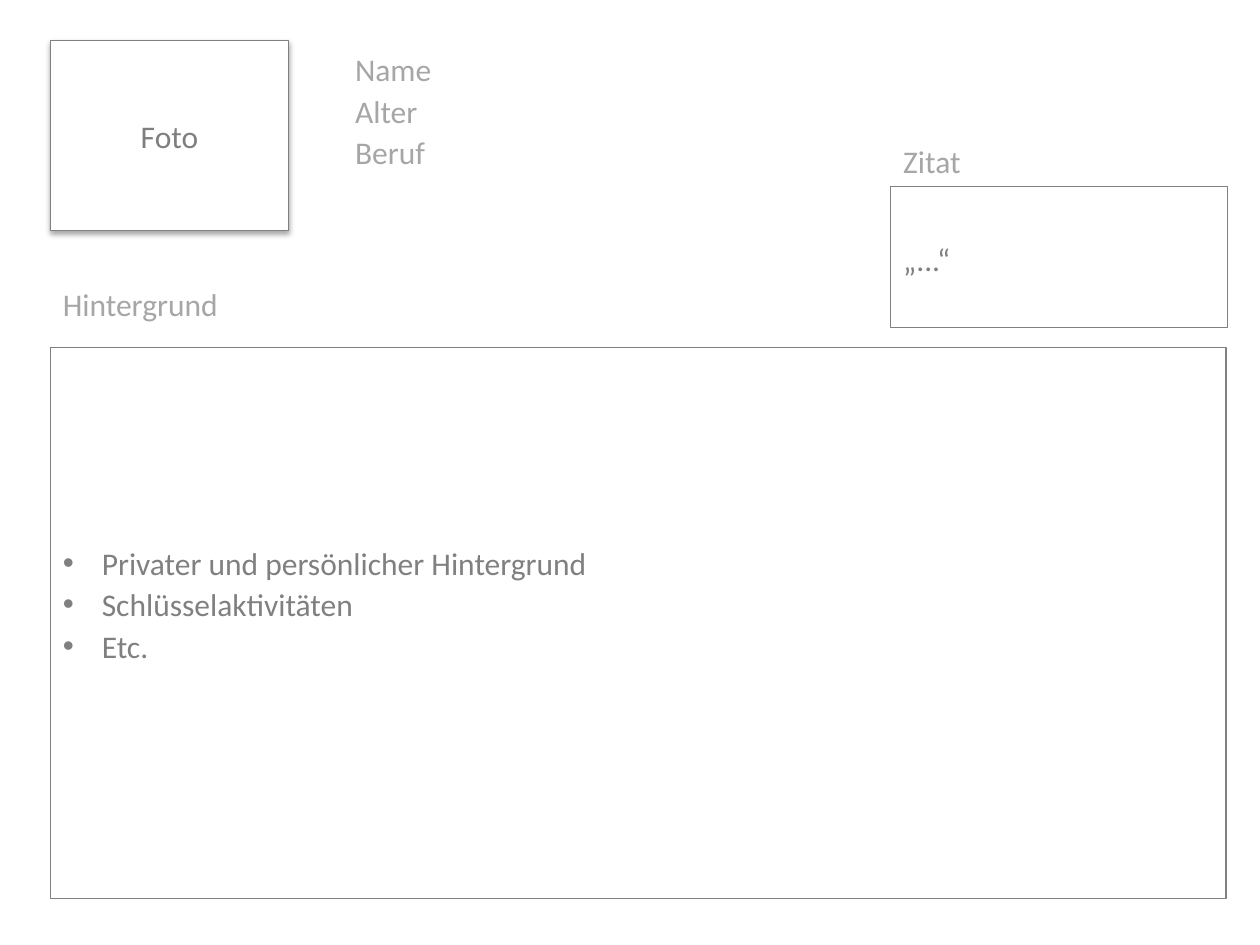
from lxml.etree import SubElement
from pptx import Presentation
from pptx.dml.color import RGBColor
from pptx.enum.shapes import MSO_SHAPE
from pptx.enum.text import MSO_ANCHOR, MSO_AUTO_SIZE, PP_ALIGN
from pptx.oxml.ns import qn
from pptx.util import Inches, Pt

COLORS = {
    "white": "FFFFFF",
    "line": "808080",
    "photo": "7F7F7F",
    "label": "A6A6A6",
    "shadow": "000000",
}
LEFT, TOP = 0.4, 0.32
QUOTE_LEFT = 7.07


def rgb(name):
    return RGBColor.from_string(COLORS[name])


def write_lines(tf, lines, color, align=PP_ALIGN.LEFT, spacing=1.1):
    for i, text in enumerate(lines):
        p = tf.paragraphs[0] if i == 0 else tf.add_paragraph()
        p.alignment = align
        p.line_spacing = spacing
        r = p.add_run()
        r.text = text
        r.font.name = "Calibri"
        r.font.size = Pt(18)
        r.font.color.rgb = rgb(color)


def add_label(s, x, y, w, h, lines, wrap=False):
    tf = s.shapes.add_textbox(Inches(x), Inches(y), Inches(w), Inches(h)).text_frame
    tf.word_wrap = wrap
    tf.auto_size = MSO_AUTO_SIZE.SHAPE_TO_FIT_TEXT
    write_lines(tf, lines, "label")


def add_box(s, x, y, w, h, lines, color="line", **text_format):
    sp = s.shapes.add_shape(MSO_SHAPE.RECTANGLE, Inches(x), Inches(y), Inches(w), Inches(h))
    sp.shadow.inherit = False
    sp.fill.solid()
    sp.fill.fore_color.rgb = rgb("white")
    sp.line.color.rgb = rgb("line")
    sp.line.width = Pt(0.75)
    sp.text_frame.word_wrap = True
    sp.text_frame.vertical_anchor = MSO_ANCHOR.MIDDLE
    write_lines(sp.text_frame, lines, color, **text_format)
    return sp


def add_shadow(sp):
    effects = sp.element.spPr.find(qn("a:effectLst"))
    shadow = SubElement(effects, qn("a:outerShdw"), blurRad=str(Pt(3.1)),
                        dist=str(Pt(1.8)), dir="5400000", rotWithShape="0")
    color = SubElement(shadow, qn("a:srgbClr"), val=COLORS["shadow"])
    SubElement(color, qn("a:alpha"), val="35000")


def add_bullets(tf, indent=0.31):
    for p in tf.paragraphs:
        pPr = p._p.get_or_add_pPr()
        pPr.set("marL", str(Inches(indent)))
        pPr.set("indent", str(Inches(-indent)))
        SubElement(pPr, qn("a:buFont"), typeface="Arial")
        SubElement(pPr, qn("a:buChar"), char="•")


def main():
    prs = Presentation()
    prs.slide_width, prs.slide_height = Inches(10), Inches(7.5)
    s = prs.slides.add_slide(prs.slide_layouts[6])

    # Photo and personal details
    photo = add_box(s, LEFT, TOP, 1.89, 1.51, ["Foto"], "photo",
                    align=PP_ALIGN.CENTER, spacing=1.0)
    add_shadow(photo)
    add_label(s, 2.72, TOP, 2.83, 1.1, ["Name", "Alter", "Beruf"], wrap=True)

    # Background
    add_label(s, LEFT, 2.18, 1.45, 0.43, ["Hintergrund"])
    background = add_box(s, LEFT, 2.76, 9.33, 4.37, [
        "Privater und persönlicher Hintergrund",
        "Schlüsselaktivitäten",
        "Etc.",
    ])
    add_bullets(background.text_frame)
    background.text_frame.margin_bottom = Inches(0.38)  # lifts the list by half a line

    # Quote
    add_label(s, QUOTE_LEFT, 1.05, 0.67, 0.43, ["Zitat"])
    add_box(s, QUOTE_LEFT, 1.48, 2.67, 1.12, ["„...“"])

    prs.save("out.pptx")


if __name__ == "__main__":
    main()
